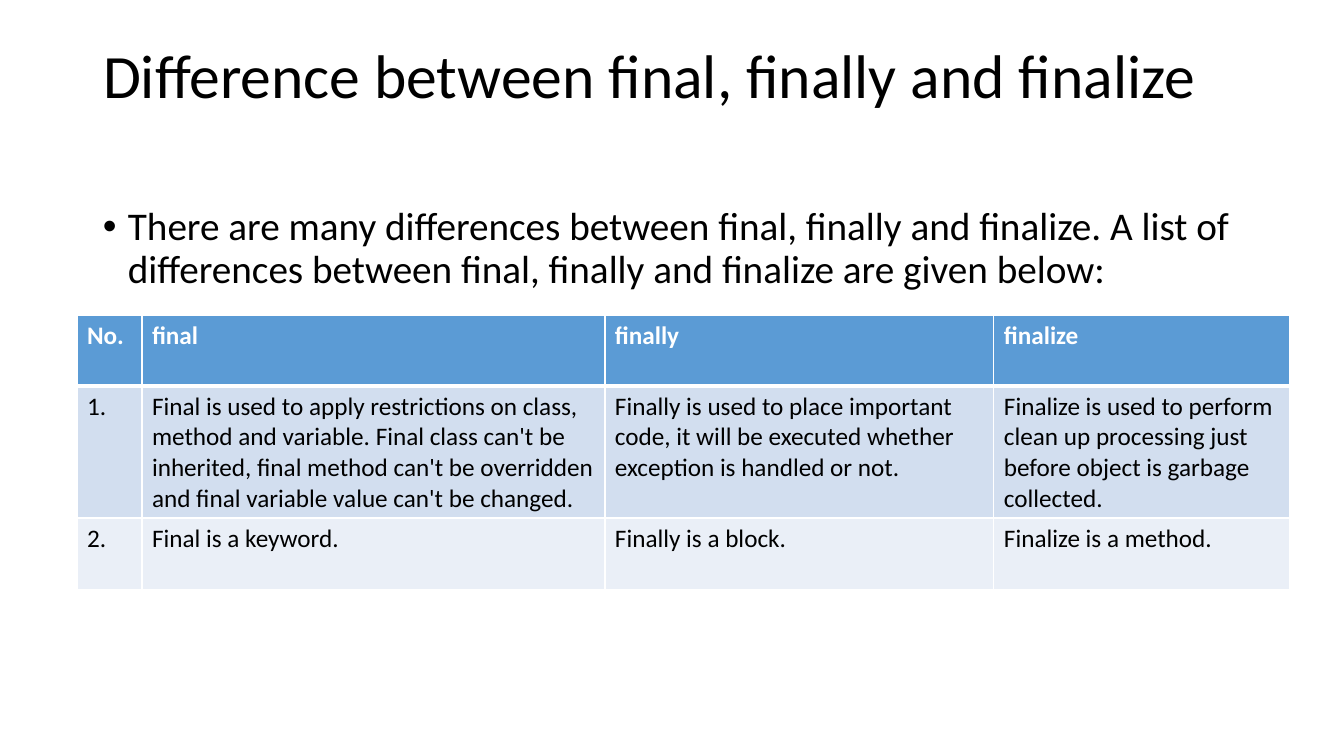
from dataclasses import dataclass

from lxml.etree import SubElement
from pptx import Presentation
from pptx.dml.color import RGBColor
from pptx.enum.text import MSO_ANCHOR, MSO_AUTO_SIZE, PP_ALIGN
from pptx.oxml.ns import qn
from pptx.util import Emu, Pt

EMU_PER_PX = 914400 / 100.8


@dataclass(frozen=True)
class Theme:
    font: str = "Calibri"
    text: str = "000000"
    white: str = "FFFFFF"
    header: str = "5B9BD5"
    bands: tuple[str, ...] = ("D2DEEF", "EAEFF7")
    title_size: int = 44
    body_size: int = 28
    table_size: int = 18
    thin_border: int = 1
    header_border: int = 3


@dataclass(frozen=True)
class Box:
    left: int
    top: int
    width: int
    height: int

    def emu(self) -> tuple[Emu, ...]:
        return tuple(px(value) for value in (self.left, self.top, self.width, self.height))


@dataclass(frozen=True)
class Column:
    width: int
    heading: str
    entries: tuple[str, ...]


THEME = Theme()
TITLE_BOX = Box(93, 40, 1159, 146)
INTRO_BOX = Box(93, 202, 1159, 480)
TABLE_BOX = Box(77, 315, 1213, 275)
ROW_HEIGHTS = (71, 132, 72)
BULLET_INDENT = 25

TITLE = "Difference between final, finally and finalize"
INTRO = (
    "There are many differences between final, finally and finalize. "
    "A list of differences between final, finally and finalize are given below:"
)
COLUMNS = (
    Column(65, "No.", ("1.", "2.")),
    Column(463, "final", (
        "Final is used to apply restrictions on class, method and variable. "
        "Final class can't be inherited, final method can't be overridden "
        "and final variable value can't be changed.",
        "Final is a keyword.",
    )),
    Column(389, "finally", (
        "Finally is used to place important code, it will be executed "
        "whether exception is handled or not.",
        "Finally is a block.",
    )),
    Column(296, "finalize", (
        "Finalize is used to perform clean up processing just before "
        "object is garbage collected.",
        "Finalize is a method.",
    )),
)


def px(value: int) -> Emu:
    return Emu(round(value * EMU_PER_PX))


def add_text(paragraph, text: str, size: int, color: str, bold: bool = False) -> None:
    run = paragraph.add_run()
    run.text = text
    run.font.name = THEME.font
    run.font.size = Pt(size)
    run.font.bold = bold
    run.font.color.rgb = RGBColor.from_string(color)


def add_title(slide) -> None:
    title = slide.shapes.title
    title.left, title.top, title.width, title.height = TITLE_BOX.emu()
    frame = title.text_frame
    frame.auto_size = MSO_AUTO_SIZE.NONE
    frame.vertical_anchor = MSO_ANCHOR.TOP
    paragraph = frame.paragraphs[0]
    paragraph.alignment = PP_ALIGN.LEFT
    paragraph.line_spacing = 0.9
    add_text(paragraph, TITLE, THEME.title_size, THEME.text)


def add_bullet(paragraph) -> None:
    properties = paragraph._p.get_or_add_pPr()
    properties.set("marL", str(px(BULLET_INDENT)))
    properties.set("indent", str(-px(BULLET_INDENT)))
    SubElement(properties, qn("a:buFont"), typeface="Arial")
    SubElement(properties, qn("a:buChar"), char="•")


def add_intro(slide) -> None:
    frame = slide.shapes.add_textbox(*INTRO_BOX.emu()).text_frame
    frame.word_wrap = True
    paragraph = frame.paragraphs[0]
    paragraph.line_spacing = 0.9
    paragraph.space_before = Pt(10)
    add_bullet(paragraph)
    add_text(paragraph, INTRO, THEME.body_size, THEME.text)


def set_borders(cell, widths: dict[str, int]) -> None:
    properties = cell._tc.get_or_add_tcPr()
    for side, width in widths.items():
        line = SubElement(properties, qn(f"a:ln{side}"), w=str(Pt(width)))
        fill = SubElement(line, qn("a:solidFill"))
        SubElement(fill, qn("a:srgbClr"), val=THEME.white)


def fill_cell(cell, text: str, row: int) -> None:
    is_header = row == 0
    thin, thick = THEME.thin_border, THEME.header_border
    set_borders(cell, {
        "L": thin,
        "R": thin,
        "T": thick if row == 1 else thin,
        "B": thick if is_header else thin,
    })
    background = THEME.header if is_header else THEME.bands[(row - 1) % len(THEME.bands)]
    cell.fill.solid()
    cell.fill.fore_color.rgb = RGBColor.from_string(background)
    color = THEME.white if is_header else THEME.text
    add_text(cell.text_frame.paragraphs[0], text, THEME.table_size, color, is_header)


def add_comparison(slide) -> None:
    table = slide.shapes.add_table(len(ROW_HEIGHTS), len(COLUMNS), *TABLE_BOX.emu()).table
    for row, height in enumerate(ROW_HEIGHTS):
        table.rows[row].height = px(height)
    for index, column in enumerate(COLUMNS):
        table.columns[index].width = px(column.width)
        for row, text in enumerate((column.heading, *column.entries)):
            fill_cell(table.cell(row, index), text, row)


def main() -> None:
    presentation = Presentation()
    presentation.slide_width = px(1344)
    presentation.slide_height = px(756)
    slide = presentation.slides.add_slide(presentation.slide_layouts.get_by_name("Title Only"))
    add_title(slide)
    add_intro(slide)
    add_comparison(slide)
    presentation.save("out.pptx")


if __name__ == "__main__":
    main()
